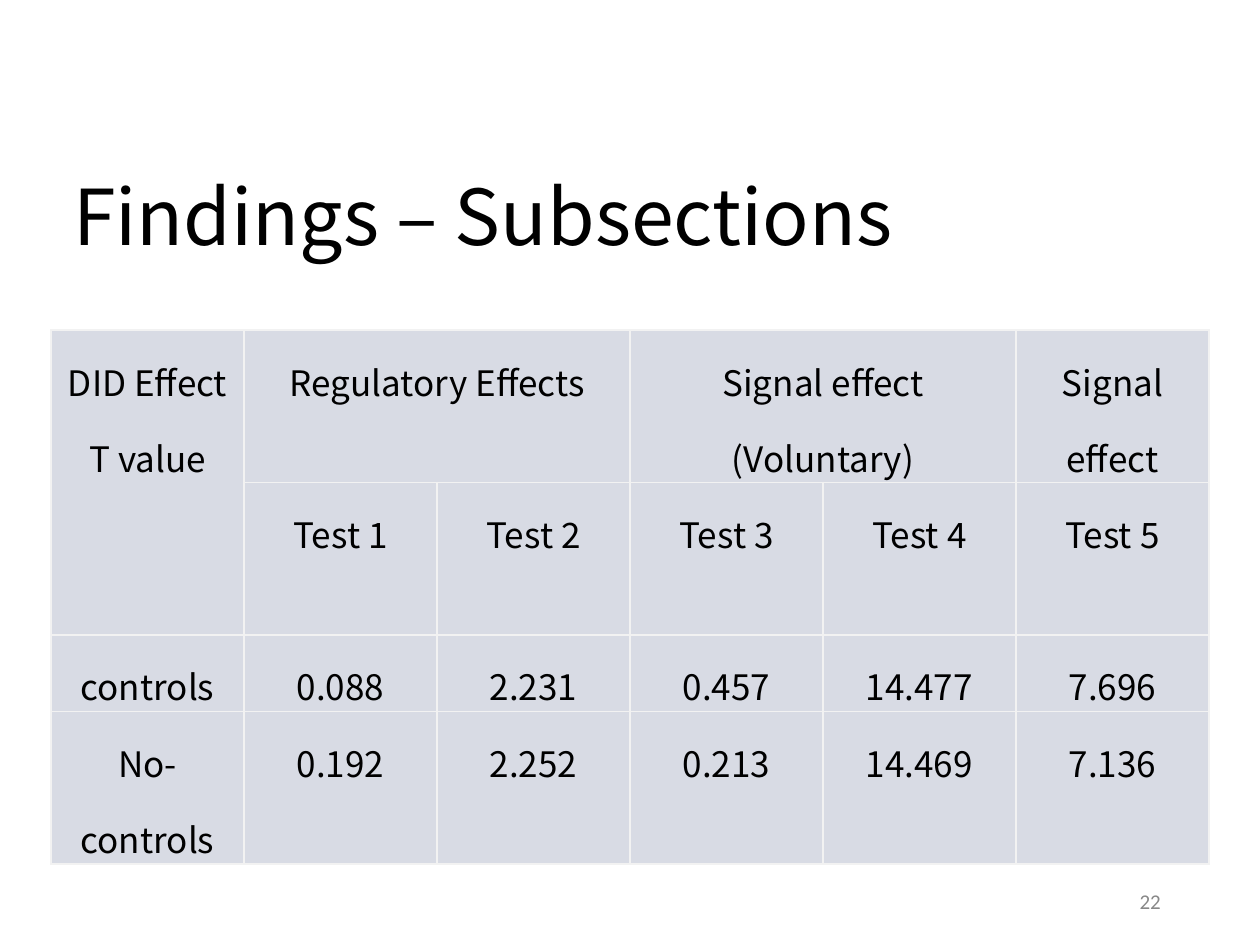
import pptx
import pptx.dml.color
import pptx.enum.text
import pptx.oxml
import pptx.oxml.ns
import pptx.util
from pptx.util import Cm

BLACK, GREY, CELL_FILL, RULE = "000000", "888888", "D8DBE4", "F2F2F2"
ALIGN = pptx.enum.text.PP_ALIGN
MIDDLE = pptx.enum.text.MSO_ANCHOR.MIDDLE

# Each cell is a list of paragraphs; None is covered by a merged cell
FINDINGS = [
    [["DID Effect", "T value"], ["Regulatory Effects"], None,
     ["Signal effect", "(Voluntary)"], None, ["Signal effect"]],
    [None] + [[f"Test {number}"] for number in range(1, 6)],
    [[value] for value in ("controls", "0.088", "2.231", "0.457", "14.477", "7.696")],
    [[value] for value in ("No-controls", "0.192", "2.252", "0.213", "14.469", "7.136")],
]
MERGES = [((0, 0), (1, 0)), ((0, 1), (0, 2)), ((0, 3), (0, 4))]
COLUMN_WIDTH = 3.89
ROW_HEIGHTS = [3.07, 3.07, 1.55, 3.07]


def color(hex_value):
    return pptx.dml.color.RGBColor.from_string(hex_value)


def write(frame, lines, font, size, hex_value, align, spacing):
    for index, line in enumerate(lines):
        paragraph = frame.add_paragraph() if index else frame.paragraphs[0]
        paragraph.alignment = align
        paragraph.line_spacing = spacing
        run = paragraph.add_run()
        run.text = line
        run.font.name = font
        run.font.size = pptx.util.Pt(size)
        run.font.color.rgb = color(hex_value)


def add_title(slide, text):
    title = slide.shapes.title
    title.left, title.top, title.width, title.height = Cm(1.22), Cm(2.9), Cm(19.38), Cm(3.1)
    title.text_frame.vertical_anchor = MIDDLE
    write(title.text_frame, [text], "Noto Sans CJK TC", 44, BLACK, ALIGN.LEFT, 0.9)


def add_borders(cell):
    properties = cell._tc.get_or_add_tcPr()
    for position, side in enumerate(("lnL", "lnR", "lnT", "lnB")):
        properties.insert(position, pptx.oxml.parse_xml(
            f'<a:{side} {pptx.oxml.ns.nsdecls("a")} w="12700"><a:solidFill>'
            f'<a:srgbClr val="{RULE}"/></a:solidFill></a:{side}>'))


def format_cell(cell):
    cell.fill.solid()
    cell.fill.fore_color.rgb = color(CELL_FILL)
    cell.margin_left = cell.margin_right = Cm(0.18)
    cell.margin_top = cell.margin_bottom = 0
    add_borders(cell)


def add_findings(slide):
    column_count = len(FINDINGS[0])
    table = slide.shapes.add_table(
        len(FINDINGS), column_count, Cm(1.03), Cm(6.65),
        Cm(COLUMN_WIDTH * column_count), Cm(sum(ROW_HEIGHTS))).table
    table.first_row = table.horz_banding = False
    for column in table.columns:
        column.width = Cm(COLUMN_WIDTH)
    for row, height in zip(table.rows, ROW_HEIGHTS):
        row.height = Cm(height)
    for start, end in MERGES:
        table.cell(*start).merge(table.cell(*end))
    for row_index, row in enumerate(FINDINGS):
        for column_index, lines in enumerate(row):
            cell = table.cell(row_index, column_index)
            format_cell(cell)
            if lines:
                write(cell.text_frame, lines, "Noto Sans CJK SC", 20, BLACK, ALIGN.CENTER, 1.5)


def add_page_number(slide, number):
    frame = slide.shapes.add_textbox(Cm(17.93), Cm(17.65), Cm(5.72), Cm(1.02)).text_frame
    frame.word_wrap = True
    frame.vertical_anchor = MIDDLE
    write(frame, [number], "Calibri", 12, GREY, ALIGN.RIGHT, 1.0)


def main():
    presentation = pptx.Presentation()
    presentation.slide_width, presentation.slide_height = Cm(25.4), Cm(19.05)
    slide = presentation.slides.add_slide(presentation.slide_layouts[5])  # title only
    add_title(slide, "Findings – Subsections")
    add_findings(slide)
    add_page_number(slide, "22")
    presentation.save("out.pptx")


if __name__ == "__main__":
    main()
